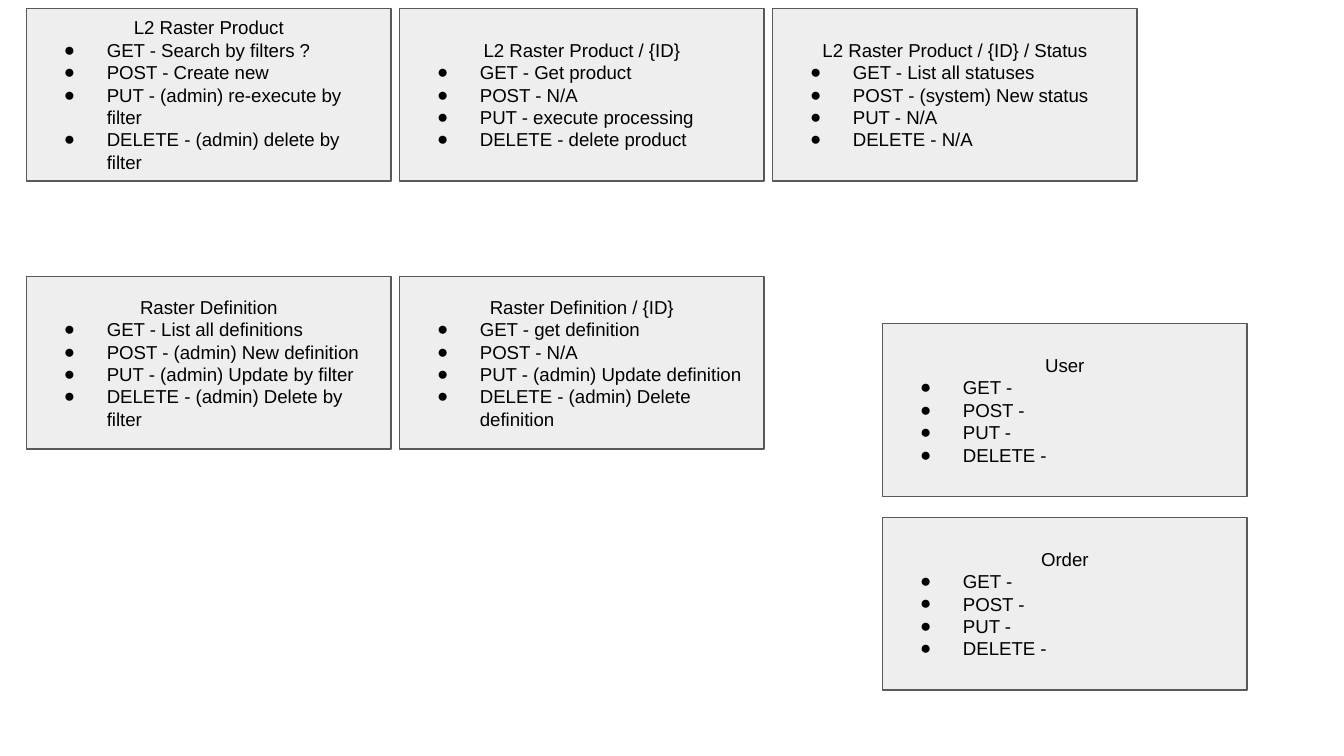
from lxml.etree import SubElement
from pptx import Presentation
from pptx.dml.color import RGBColor
from pptx.enum.shapes import MSO_SHAPE as Shape
from pptx.enum.text import MSO_ANCHOR as Anchor, PP_ALIGN as Align
from pptx.oxml.ns import qn
from pptx.util import Cm, Pt

COLOURS = {"fill": "EEEEEE", "line": "595959", "text": "000000"}
BOX_WIDTH, BOX_HEIGHT = 6.89, 3.26
LEFT, COLUMN_STEP = 0.5, 7.05
PRODUCT_TOP, DEFINITION_TOP = 0.16, 5.23
SIDE_LEFT, USER_TOP, ORDER_TOP = 16.68, 6.12, 9.78
METHODS = ["GET", "POST", "PUT", "DELETE"]

# Left, top, title, and one note for each method
resources = [
    (LEFT, PRODUCT_TOP, "L2 Raster Product",
     ["Search by filters ?", "Create new", "(admin) re-execute by filter", "(admin) delete by filter"]),
    (LEFT + COLUMN_STEP, PRODUCT_TOP, "L2 Raster Product / {ID}",
     ["Get product", "N/A", "execute processing", "delete product"]),
    (LEFT + 2 * COLUMN_STEP, PRODUCT_TOP, "L2 Raster Product / {ID} / Status",
     ["List all statuses", "(system) New status", "N/A", "N/A"]),
    (LEFT, DEFINITION_TOP, "Raster Definition",
     ["List all definitions", "(admin) New definition", "(admin) Update by filter", "(admin) Delete by filter"]),
    (LEFT + COLUMN_STEP, DEFINITION_TOP, "Raster Definition / {ID}",
     ["get definition", "N/A", "(admin) Update definition", "(admin) Delete definition"]),
    (SIDE_LEFT, ORDER_TOP, "Order", [""] * 4),
    (SIDE_LEFT, USER_TOP, "User", [""] * 4),
]


def write(para, text, *, align=Align.LEFT, bullet=None, size=10, font="Arial", colour="text"):
    para.alignment = align
    span = para.add_run()
    span.text = text
    span.font.size = Pt(size)
    span.font.name = font
    span.font.color.rgb = RGBColor.from_string(COLOURS[colour])
    if bullet:
        props = para._p.get_or_add_pPr()
        props.set("marL", str(Cm(1.27)))
        props.set("indent", str(Cm(-0.81)))
        bullet_colour = SubElement(props, qn("a:buClr"))
        SubElement(bullet_colour, qn("a:srgbClr"), val=COLOURS[colour])
        SubElement(props, qn("a:buFont"), typeface=font)
        SubElement(props, qn("a:buChar"), char=bullet)


deck = Presentation()
deck.slide_width, deck.slide_height = Cm(25.4), Cm(14.29)
page = deck.slides.add_slide(deck.slide_layouts[6])

for left, top, title, notes in resources:
    box = page.shapes.add_shape(
        Shape.FLOWCHART_PROCESS, Cm(left), Cm(top), Cm(BOX_WIDTH), Cm(BOX_HEIGHT))
    box.shadow.inherit = False
    box.fill.solid()
    box.fill.fore_color.rgb = RGBColor.from_string(COLOURS["fill"])
    box.line.color.rgb = RGBColor.from_string(COLOURS["line"])
    box.line.width = Pt(0.75)

    frame = box.text_frame
    frame.word_wrap = True
    frame.vertical_anchor = Anchor.MIDDLE
    frame.margin_left = frame.margin_right = Cm(0.25)
    frame.margin_top = frame.margin_bottom = Cm(0.25)
    write(frame.paragraphs[0], title, align=Align.CENTER)
    for method, note in zip(METHODS, notes):
        write(frame.add_paragraph(), f"{method} - {note}".rstrip(), bullet="●")

deck.save("out.pptx")
